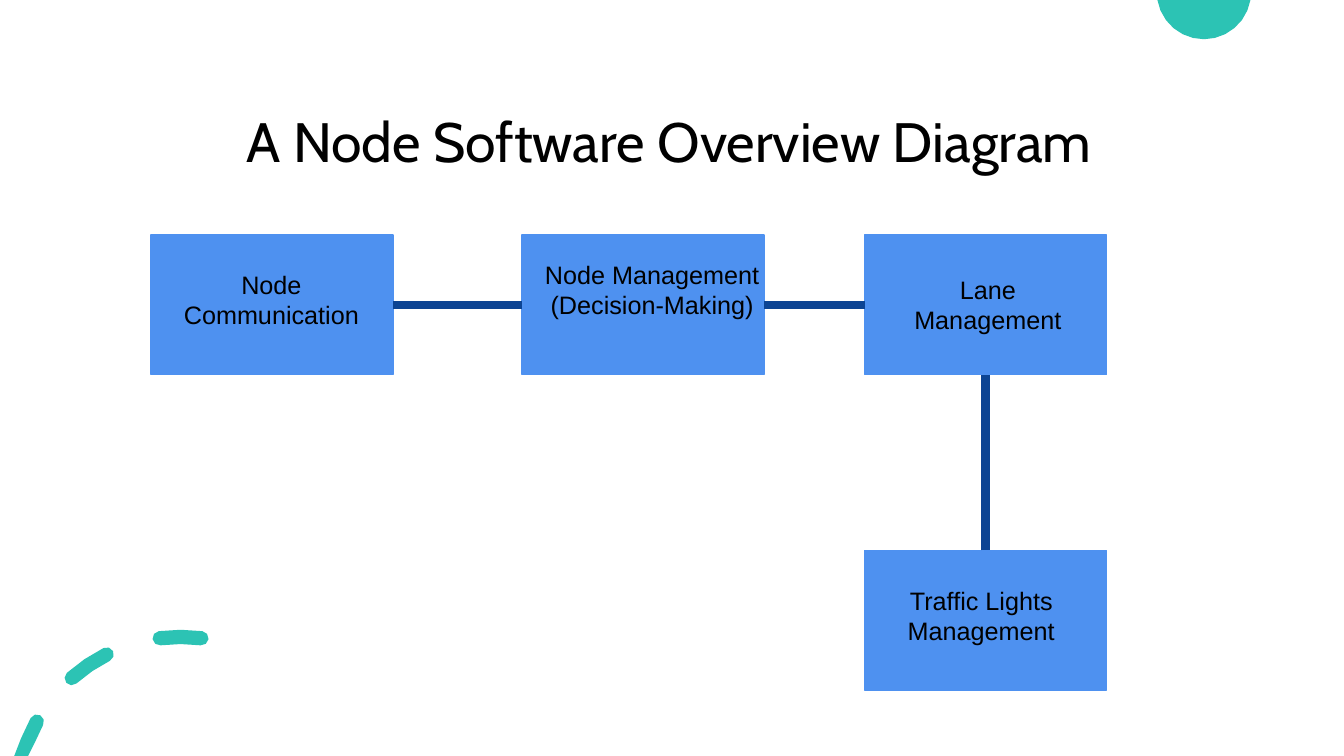
from math import cos, radians, sin

from lxml.etree import SubElement
from pptx import Presentation
from pptx.dml.color import RGBColor
from pptx.enum.shapes import MSO_CONNECTOR, MSO_SHAPE
from pptx.enum.text import MSO_ANCHOR, PP_ALIGN
from pptx.oxml.ns import qn
from pptx.util import Cm, Pt

SLIDE_WIDTH, SLIDE_HEIGHT = 33.87, 19.05
BOX_WIDTH, BOX_HEIGHT = 6.1, 3.52
UPPER_ROW, LOWER_ROW = 5.92, 13.87
TOP, LEFT, BOTTOM, RIGHT = range(4)  # connection sites of a rectangle
TEAL, BLUE, NAVY, BLACK = "2CC3B4", "4E91F0", "0C4493", "000000"


def set_color(color_format, value):
    color_format.rgb = RGBColor.from_string(value)


def fill_shape(shape, color):
    shape.shadow.inherit = False
    shape.fill.solid()
    set_color(shape.fill.fore_color, color)


def format_text(paragraph, font_name, size):
    for run in paragraph.runs:
        run.font.name = font_name
        run.font.size = Pt(size)
        set_color(run.font.color, BLACK)


def set_margins(text_frame, left, top, right, bottom):
    text_frame.margin_left, text_frame.margin_top = Cm(left), Cm(top)
    text_frame.margin_right, text_frame.margin_bottom = Cm(right), Cm(bottom)


def arc_points(center, radius, start, end, steps):
    """Return points on an arc; angles run clockwise from straight up."""
    angles = [radians(start + (end - start) * i / steps) for i in range(steps + 1)]
    return [(center[0] + radius * sin(a), center[1] - radius * cos(a)) for a in angles]


def add_outline(slide, contours):
    """Add one teal freeform made of closed contours within the slide height."""
    builder = slide.shapes.build_freeform()
    for contour in contours:
        points = [(Cm(x), Cm(min(y, SLIDE_HEIGHT))) for x, y in contour]
        builder.move_to(*points[0])
        builder.add_line_segments(points[1:])
    shape = builder.convert_to_shape()
    fill_shape(shape, TEAL)
    shape.line.fill.background()


def ring_dash(start, end):
    """Return the outline of a ring dash, rounded where it ends on the slide."""
    center, radius, half_width = (4.55, 20.19), 4.14, 0.18

    def cap(angle, turn):
        middle = arc_points(center, radius, angle, angle, 1)[0]
        if middle[1] > SLIDE_HEIGHT:
            return []
        return arc_points(middle, half_width, angle + turn, angle + turn + 180, 4)[1:-1]

    return (arc_points(center, radius + half_width, start, end, 2) + cap(end, 0)
            + arc_points(center, radius - half_width, end, start, 2) + cap(start, 180))


def add_title(slide, text):
    text_box = slide.shapes.add_textbox(Cm(6.08), Cm(1.63), Cm(21.72), Cm(2.9))
    text_frame = text_box.text_frame
    text_frame.word_wrap = True
    text_frame.vertical_anchor = MSO_ANCHOR.BOTTOM
    set_margins(text_frame, 0.13, 0.13, 0.13, 0.13)
    text_frame.text = text
    paragraph = text_frame.paragraphs[0]
    paragraph.line_spacing = 0.9
    format_text(paragraph, "Cabin", 39.6)


def add_box(slide, text, left, top, margins):
    """Add a module box; margins are the left, top and right text insets."""
    shape = slide.shapes.add_shape(
        MSO_SHAPE.RECTANGLE, Cm(left), Cm(top), Cm(BOX_WIDTH), Cm(BOX_HEIGHT))
    fill_shape(shape, BLUE)
    set_color(shape.line.color, BLUE)
    shape.line.width = Pt(1)
    text_frame = shape.text_frame
    text_frame.word_wrap = True
    text_frame.vertical_anchor = MSO_ANCHOR.TOP
    set_margins(text_frame, *margins, 0.13)
    text_frame.text = text
    paragraph = text_frame.paragraphs[0]
    paragraph.alignment = PP_ALIGN.CENTER
    format_text(paragraph, "Arial", 18)
    return shape


def add_link(slide, source, source_site, target, target_site):
    connector = slide.shapes.add_connector(MSO_CONNECTOR.STRAIGHT, 0, 0, 0, 0)
    connector.begin_connect(source, source_site)
    connector.end_connect(target, target_site)
    set_color(connector.line.color, NAVY)
    connector.line.width = Pt(6)
    SubElement(connector.element.spPr, qn("a:effectLst"))


def main():
    presentation = Presentation()
    presentation.slide_width = Cm(SLIDE_WIDTH)
    presentation.slide_height = Cm(SLIDE_HEIGHT)
    slide = presentation.slides.add_slide(presentation.slide_layouts[6])

    add_outline(slide, [arc_points((30.34, -0.2), 1.19, 99.7, 260.3, 12)])
    dash_angles = ((-76, -61), (-41.5, -26.7), (-7.3, 7.3))
    add_outline(slide, [ring_dash(start, end) for start, end in dash_angles])

    communication = add_box(
        slide, "Node Communication", 3.81, UPPER_ROW, (0.68, 0.86, 0.72))
    decision = add_box(
        slide, "Node Management (Decision-Making)", 13.16, UPPER_ROW, (0.53, 0.61, 0.08))
    lane = add_box(
        slide, "Lane Management", 21.79, UPPER_ROW, (1.01, 0.99, 0.9))
    lights = add_box(
        slide, "Traffic Lights Management", 21.79, LOWER_ROW, (0.69, 0.88, 0.91))

    add_link(slide, communication, RIGHT, decision, LEFT)
    add_link(slide, decision, RIGHT, lane, LEFT)
    add_link(slide, lights, TOP, lane, BOTTOM)
    add_title(slide, "A Node Software Overview Diagram")
    presentation.save("out.pptx")


if __name__ == "__main__":
    main()
